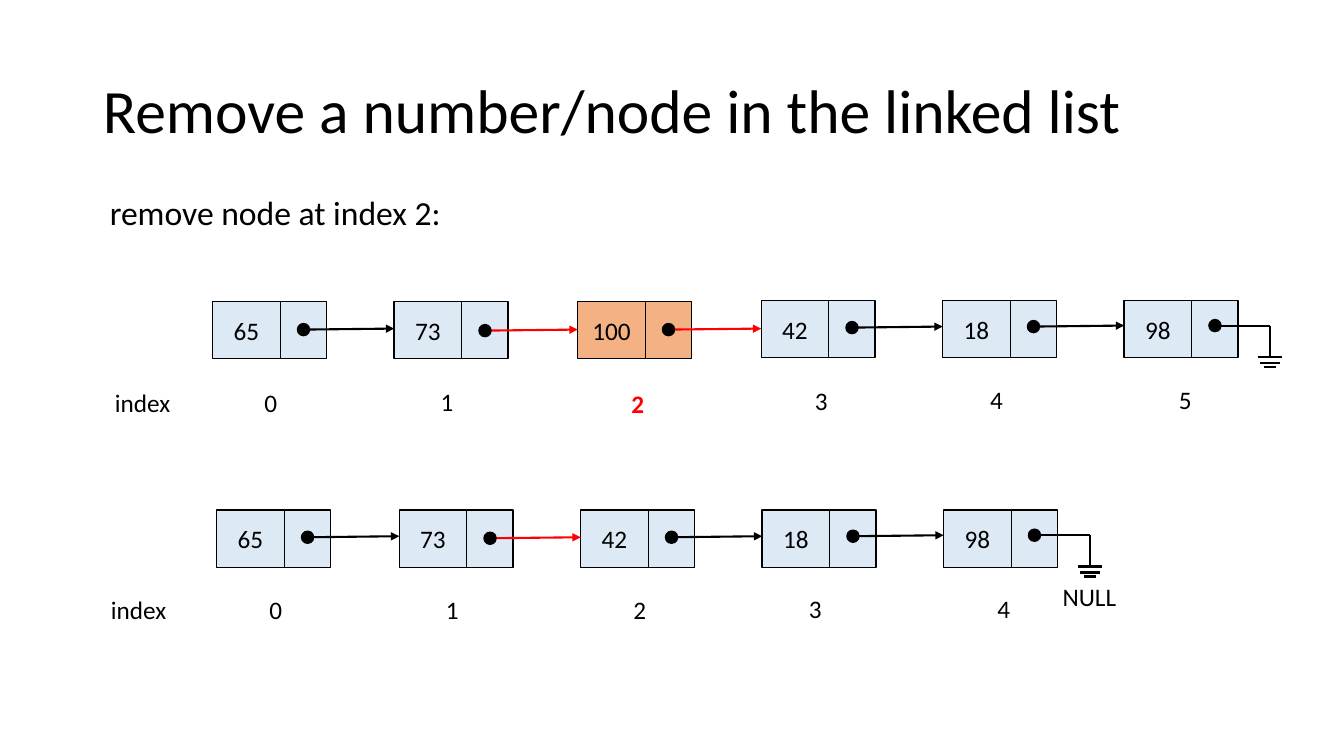
from lxml import etree
from pptx import Presentation
from pptx.dml.color import RGBColor
from pptx.enum.shapes import MSO_CONNECTOR, MSO_SHAPE
from pptx.enum.text import MSO_ANCHOR, PP_ALIGN
from pptx.oxml.ns import qn
from pptx.util import Inches, Pt

BLACK, RED, BLUE, ORANGE = "000000", "FF0000", "DDEAF6", "F4B183"
TITLE = "Remove a number/node in the linked list"
SUBTITLE = "remove node at index 2:"

# Each node: value, left, top, dot top, index left, index top
BEFORE = {
    "nodes": [
        ("65", 2.11, 2.99, 3.21, 2.20, 3.79),
        ("73", 3.91, 2.99, 3.22, 3.95, 3.78),
        ("100", 5.73, 2.99, 3.21, 5.84, 3.80),
        ("42", 7.55, 2.98, 3.19, 7.66, 3.77),
        ("18", 9.35, 2.98, 3.18, 9.40, 3.76),
        ("98", 11.15, 2.98, 3.17, 11.27, 3.76),
    ],
    "label": (0.93, 3.79),
    "removed": 2,
    "red_arrows": {1, 2},
}
AFTER = {
    "nodes": [
        ("65", 2.15, 5.06, 5.27, 2.25, 5.85),
        ("73", 3.96, 5.06, 5.28, 4.00, 5.85),
        ("42", 5.76, 5.06, 5.27, 5.86, 5.85),
        ("18", 7.56, 5.06, 5.26, 7.60, 5.84),
        ("98", 9.36, 5.06, 5.25, 9.47, 5.84),
    ],
    "label": (0.89, 5.85),
    "removed": None,
    "red_arrows": {1},
}
VALUE_W, POINTER_W, NODE_H = 0.67, 0.46, 0.57
DOT, DOT_DX = 0.12, 0.84
INDEX_W, INDEX_H = 0.97, 0.34
GROUND_DX, GROUND_DROP = 0.55, 0.3
GROUND_BARS = [(0.12, 0.31), (0.10, 0.37), (0.06, 0.41)]  # half width, drop


def color(hex_text):
    return RGBColor.from_string(hex_text)


def put_text(tf, text, size=18, ink=BLACK, bold=False, align=PP_ALIGN.CENTER,
             anchor=MSO_ANCHOR.TOP, wrap=True, spacing=None):
    tf.word_wrap = wrap
    tf.vertical_anchor = anchor
    p = tf.paragraphs[0]
    p.alignment = align
    p.line_spacing = spacing
    r = p.add_run()
    r.text = text
    r.font.name, r.font.size, r.font.bold = "Calibri", Pt(size), bold
    r.font.color.rgb = color(ink)


def add_text(s, box, text, **fmt):
    put_text(s.shapes.add_textbox(*map(Inches, box)).text_frame, text, **fmt)


def add_box(s, kind, box, fill):
    sp = s.shapes.add_shape(kind, *map(Inches, box))
    sp.shadow.inherit = False
    sp.fill.solid()
    sp.fill.fore_color.rgb = color(fill)
    sp.line.color.rgb = color(BLACK)
    sp.line.width = Pt(1)
    return sp


def add_line(s, start, end, ink=BLACK, arrow=False):
    c = s.shapes.add_connector(MSO_CONNECTOR.STRAIGHT, *map(Inches, (*start, *end)))
    c.line.color.rgb = color(ink)
    c.line.width = Pt(1.5)
    if arrow:
        etree.SubElement(c.line._get_or_add_ln(), qn("a:tailEnd"), type="triangle")
    etree.SubElement(c._element.spPr, qn("a:effectLst"))


def add_ground(s, x, y):
    """Draw the wire and the three bars that end a list."""
    end = x + GROUND_DX
    add_line(s, (x, y), (end, y))
    add_line(s, (end, y), (end, y + GROUND_DROP))
    for half, drop in GROUND_BARS:
        add_line(s, (end - half, y + drop), (end + half, y + drop))


def add_list(s, row):
    nodes = row["nodes"]
    for i, (value, x, y, _, index_x, index_y) in enumerate(nodes):
        removed = i == row["removed"]
        fill = ORANGE if removed else BLUE
        sp = add_box(s, MSO_SHAPE.RECTANGLE, (x, y, VALUE_W, NODE_H), fill)
        put_text(sp.text_frame, value, anchor=MSO_ANCHOR.MIDDLE)
        add_box(s, MSO_SHAPE.RECTANGLE, (x + VALUE_W, y, POINTER_W, NODE_H), fill)
        add_text(s, (index_x, index_y, INDEX_W, INDEX_H), str(i),
                 ink=RED if removed else BLACK, bold=removed)
    add_text(s, (*row["label"], INDEX_W, INDEX_H), "index")

    for i, (_, x, _, dot_y, _, _) in enumerate(nodes):
        start_x, start_y = x + DOT_DX + DOT / 2, dot_y + DOT / 2
        if i + 1 < len(nodes):
            add_line(s, (start_x, start_y), (nodes[i + 1][1], start_y - 0.01),
                     ink=RED if i in row["red_arrows"] else BLACK, arrow=True)
        else:
            add_ground(s, start_x, start_y)
        add_box(s, MSO_SHAPE.OVAL, (x + DOT_DX, dot_y, DOT, DOT), BLACK)


def main():
    prs = Presentation()
    prs.slide_width, prs.slide_height = Inches(13.33), Inches(7.5)
    s = prs.slides.add_slide(prs.slide_layouts[5])
    title = s.shapes.title
    title.left, title.top = Inches(0.92), Inches(0.4)
    title.width, title.height = Inches(11.5), Inches(1.45)
    put_text(title.text_frame, TITLE, size=44, align=PP_ALIGN.LEFT,
             anchor=MSO_ANCHOR.MIDDLE, spacing=0.9)
    add_text(s, (0.99, 1.85, 4.72, 0.5), SUBTITLE, size=24, align=PP_ALIGN.LEFT)
    for row in (BEFORE, AFTER):
        add_list(s, row)
    add_text(s, (10.44, 5.72, 0.74, 0.4), "NULL", align=PP_ALIGN.LEFT, wrap=False)
    prs.save("out.pptx")


if __name__ == "__main__":
    main()
